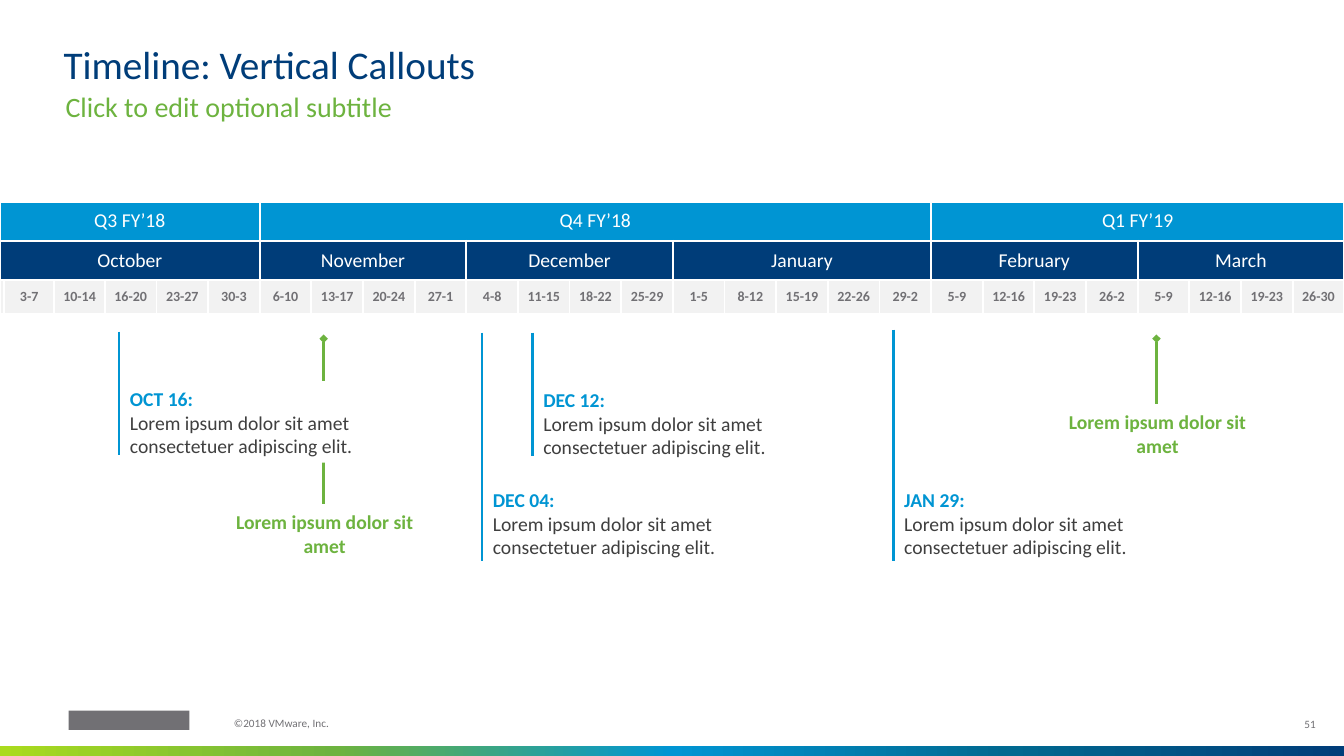
from lxml import etree
from pptx import Presentation
from pptx.dml.color import RGBColor
from pptx.enum.shapes import MSO_CONNECTOR as Link, MSO_SHAPE as Shape
from pptx.enum.text import MSO_ANCHOR as Anchor, MSO_AUTO_SIZE as Fit, PP_ALIGN as Align
from pptx.oxml.ns import qn
from pptx.util import Inches, Pt

WIDE, HIGH = 13.33, 7.5
WHITE, PALE, GREY, DARK = "FFFFFF", "F2F2F2", "717074", "3F3F3F"
BLUE, NAVY, GREEN = "0095D3", "003D79", "6DB33F"
LOREM = "Lorem ipsum dolor sit amet"

QUARTERS = [("Q3 FY’18", 6), ("Q4 FY’18", 13), ("Q1 FY’19", 8)]
MONTHS = [("October", 6), ("November", 4), ("December", 4),
          ("January", 5), ("February", 4), ("March", 4)]
WEEKS = ("3-7 10-14 16-20 23-27 30-3 6-10 13-17 20-24 27-1 4-8 11-15 18-22 25-29 "
         "1-5 8-12 15-19 22-26 29-2 5-9 12-16 19-23 26-2 5-9 12-16 19-23 26-30").split()


def color(code):
    return RGBColor.from_string(code)


def place(*box):
    return [Inches(n) for n in box]


def add_run(para, words, size, code, bold=False):
    run = para.add_run()
    run.text = words
    font = run.font
    font.name, font.size, font.bold = "Calibri", Pt(size), bold
    font.color.rgb = color(code)


def set_frame(frame, anchor=Anchor.TOP, pad=(0, 0), wrap=True):
    frame.auto_size = Fit.NONE
    frame.word_wrap = wrap
    frame.vertical_anchor = anchor
    frame.margin_left = frame.margin_right = Inches(pad[0])
    frame.margin_top = frame.margin_bottom = Inches(pad[1])


def add_block(slide, box, fill):
    block = slide.shapes.add_shape(Shape.RECTANGLE, *place(*box))
    block.shadow.inherit = False
    block.line.fill.background()
    block.fill.solid()
    block.fill.fore_color.rgb = color(fill)
    return block


def add_line(slide, x, top, end, code):
    line = slide.shapes.add_connector(Link.STRAIGHT, *place(x, top, x, end))
    line.line.color.rgb = color(code)
    line.line.width = Pt(2)
    etree.SubElement(line._element.spPr, qn("a:effectLst"))
    return line


def add_label(slide, box, words, size, code, anchor=Anchor.TOP, align=Align.LEFT, space=1):
    frame = slide.shapes.add_textbox(*place(*box)).text_frame
    set_frame(frame, anchor)
    para = frame.paragraphs[0]
    para.alignment, para.line_spacing = align, space
    add_run(para, words, size, code)


def add_header(slide, x, y):
    title = slide.shapes.title
    title.left, title.top, title.width, title.height = place(x, y, 12.03, 0.42)
    set_frame(title.text_frame, Anchor.BOTTOM, wrap=False)
    para = title.text_frame.paragraphs[0]
    para.alignment, para.line_spacing = Align.LEFT, 0.9
    add_run(para, "Timeline: Vertical Callouts", 28, NAVY)
    add_label(slide, (x + 0.02, y + 0.44, 11.99, 0.27),
              "Click to edit optional subtitle", 20, GREEN)


def add_footer(slide, y):
    band = add_block(slide, (0, y, WIDE, HIGH - y), BLUE)
    band.fill.gradient()
    band.fill.gradient_angle = 0
    stops = band._element.spPr.find(qn("a:gradFill")).find(qn("a:gsLst"))
    stops[:] = []
    for i, code in enumerate(["AADB1E", GREEN, BLUE, "006990", NAVY]):
        stop = etree.SubElement(stops, qn("a:gs"), pos=str(i * 25000))
        etree.SubElement(stop, qn("a:srgbClr"), val=code)
    add_block(slide, (0.68, y - 0.35, 1.2, 0.19), GREY)
    add_label(slide, (2.32, y - 0.28, 2.15, 0.16), "©2018 VMware, Inc.", 8, GREY, space=0.9)
    add_label(slide, (12.57, y - 0.41, 0.48, 0.4), "51", 8, GREY,
              Anchor.MIDDLE, Align.RIGHT, 0.9)


def add_edges(cell, sides):
    props = cell._tc.get_or_add_tcPr()
    for i, side in enumerate(sides):
        edge = etree.Element(qn("a:ln" + side), w=str(Pt(1.5)))
        fill = etree.SubElement(edge, qn("a:solidFill"))
        etree.SubElement(fill, qn("a:srgbClr"), val=WHITE)
        props.insert(i, edge)


def add_grid(slide, x, y):
    count = len(WEEKS) + 1
    table = slide.shapes.add_table(3, count, *place(x, y, WIDE, 1.11)).table
    starts = [0.03, 0.5, 0.5]
    rest = (WIDE - sum(starts)) / (count - len(starts))
    for i, col in enumerate(table.columns):
        col.width = Inches(starts[i] if i < len(starts) else rest)
    rows = [(0.39, QUARTERS, BLUE, 14, WHITE, "LRTB"),
            (0.39, MONTHS, NAVY, 14, WHITE, "LRTB"),
            (0.33, [(week, 1) for week in [""] + WEEKS], PALE, 10, GREY, "LRT")]
    for r, (tall, spans, fill, size, code, sides) in enumerate(rows):
        table.rows[r].height = Inches(tall)
        for c in range(count):
            cell = table.cell(r, c)
            cell.margin_left = cell.margin_right = cell.margin_top = cell.margin_bottom = 0
            cell.vertical_anchor = Anchor.MIDDLE
            cell.fill.solid()
            cell.fill.fore_color.rgb = color(fill)
        c = 0
        for words, span in spans:
            cell = table.cell(r, c)
            if span > 1:
                cell.merge(table.cell(r, c + span - 1))
            para = cell.text_frame.paragraphs[0]
            para.alignment = Align.CENTER
            if words:
                add_run(para, words, size, code, r == 2)
            add_edges(cell, sides)
            c += span


def add_callout(slide, x, top, y, end, day):
    frame = add_block(slide, (x + 0.01, y, 3.3, 0.81), WHITE).text_frame
    set_frame(frame, Anchor.BOTTOM, (0.1, 0.05))
    para = frame.paragraphs[0]
    para.alignment, para.space_after = Align.LEFT, Pt(6)
    add_run(para, day, 14, BLUE, True)
    para.add_line_break()
    add_run(para, LOREM + " consectetuer adipiscing elit.", 14, DARK)
    add_line(slide, x, top, end, BLUE)


def add_marker(slide, x, top, end):
    frame = add_block(slide, (x - 0.88, end + 0.06, 1.78, 0.43), WHITE).text_frame
    set_frame(frame)
    para = frame.paragraphs[0]
    para.alignment, para.space_after = Align.CENTER, Pt(6)
    add_run(para, LOREM, 14, GREEN, True)
    line = add_line(slide, x, top, end, GREEN)
    etree.SubElement(line.line._get_or_add_ln(), qn("a:headEnd"), type="diamond")


def main():
    deck = Presentation()
    deck.slide_width, deck.slide_height = place(WIDE, HIGH)
    slide = deck.slides.add_slide(deck.slide_layouts[5])
    add_footer(slide, 7.4)
    add_header(slide, 0.63, 0.45)
    add_grid(slide, 0, 2)
    add_marker(slide, 11.47, 3.36, 4.01)
    add_callout(slide, 4.78, 3.3, 4.78, 5.57, "DEC 04:")
    add_callout(slide, 8.86, 3.27, 4.78, 5.57, "JAN 29:")
    add_marker(slide, 3.21, 3.36, 5)
    add_callout(slide, 1.18, 3.29, 3.78, 4.51, "OCT 16:")
    add_callout(slide, 5.28, 3.3, 3.79, 4.52, "DEC 12:")
    deck.save("out.pptx")


if __name__ == "__main__":
    main()
